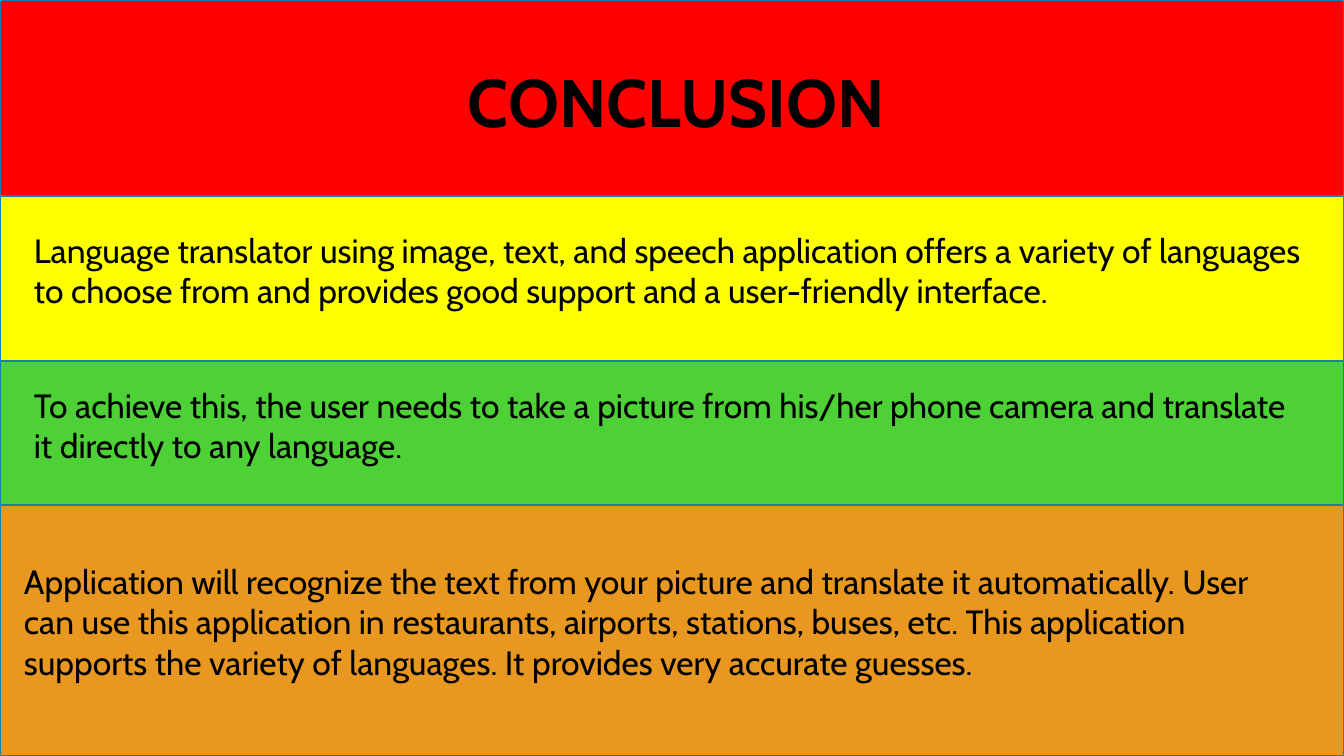
from pptx import Presentation
from pptx.dml.color import RGBColor
from pptx.enum.shapes import MSO_SHAPE
from pptx.enum.text import MSO_AUTO_SIZE
from pptx.util import Emu, Pt

RECT = MSO_SHAPE.RECTANGLE
GROW = MSO_AUTO_SIZE.SHAPE_TO_FIT_TEXT

# Content
W, H = 1344, 756
FONT, INK, EDGE = "Cabin", "000000", "1580A9"
TITLE = {"name": FONT, "size": Pt(48), "bold": True}
BODY = {"name": FONT, "size": Pt(24)}

# Band height, fill, text box (left, top, width, height), format, text
BANDS = [
    (196, "FF0000", (458, 55, 601, 92), TITLE, "CONCLUSION"),
    (165, "FFFF00", (24, 225, 1295, 122), BODY,
     "Language translator using image, text, and speech application offers "
     "a variety of languages to choose from and provides good support and "
     "a user-friendly interface."),
    (144, "4DD137", (24, 380, 1295, 92), BODY,
     "To achieve this, the user needs to take a picture from his/her phone "
     "camera and translate it directly to any language."),
    (251, "E89720", (14, 556, 1271, 163), BODY,
     "Application will recognize the text from your picture and translate "
     "it automatically. User can use this application in restaurants, "
     "airports, stations, buses, etc. This application supports the variety "
     "of languages. It provides very accurate guesses."),
]


def px(*lengths):
    return [Emu(round(n * 12192000 / W)) for n in lengths]


def rgb(code):
    return RGBColor.from_string(code)


def add_band(shapes, top, height, fill):
    sp = shapes.add_shape(RECT, *px(0, top, W, height))
    sp.shadow.inherit = False
    sp.fill.solid()
    sp.fill.fore_color.rgb = rgb(fill)
    sp.line.color.rgb = rgb(EDGE)
    sp.line.width = Pt(1.25)


def add_text(shapes, box, text, style):
    tf = shapes.add_textbox(*px(*box)).text_frame
    tf.word_wrap = True
    tf.auto_size = GROW
    r = tf.paragraphs[0].add_run()
    r.text = text
    r.font.color.rgb = rgb(INK)
    for name, value in style.items():
        setattr(r.font, name, value)


# Slide
prs = Presentation()
prs.slide_width, prs.slide_height = px(W, H)
s = prs.slides.add_slide(prs.slide_layouts[6])

# Stacked bands, each grouped with its text
top = 0
for height, fill, box, style, text in BANDS:
    group = s.shapes.add_group_shape()
    add_band(group.shapes, top, height, fill)
    add_text(group.shapes, box, text, style)
    top += height

prs.save("out.pptx")
